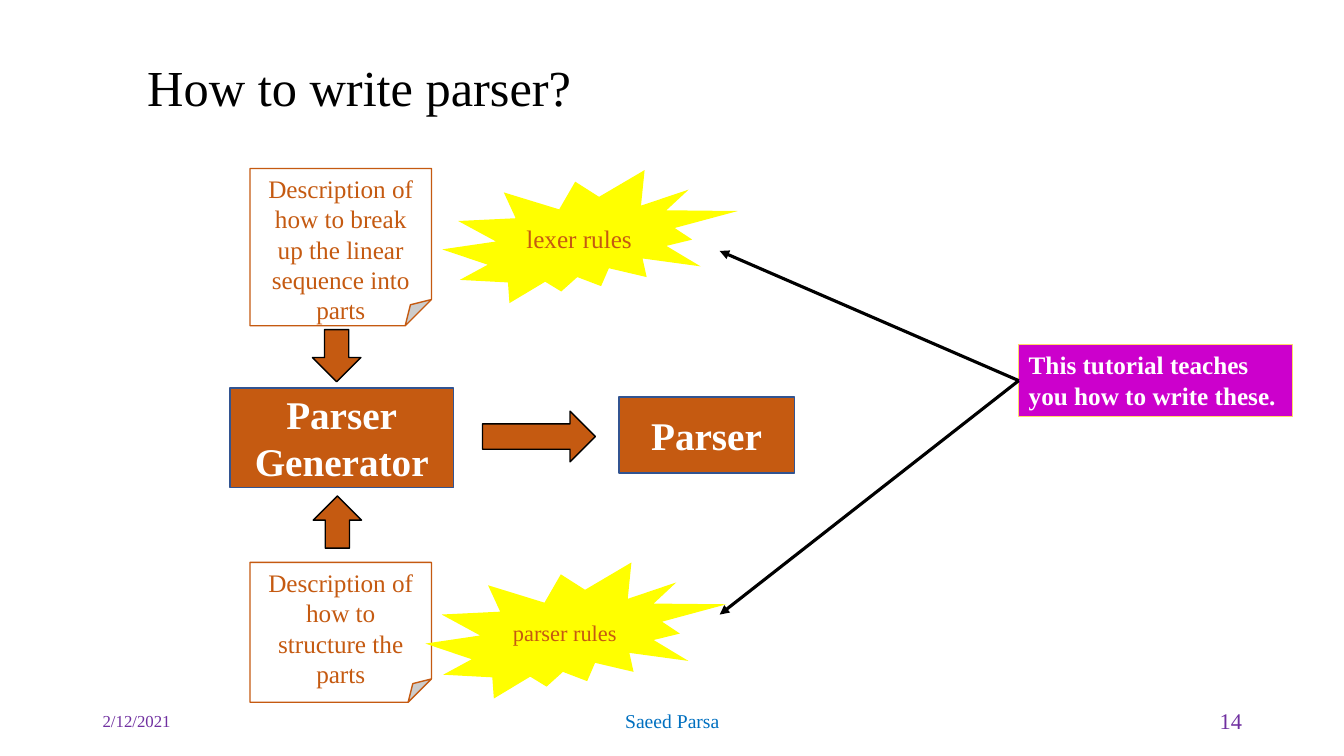
"""Build the slide that shows how a parser generator turns rules into a parser."""
from dataclasses import dataclass

from lxml import etree
from pptx import Presentation
from pptx.dml.color import RGBColor
from pptx.enum.shapes import MSO_CONNECTOR, MSO_SHAPE
from pptx.enum.text import MSO_ANCHOR, MSO_AUTO_SIZE, PP_ALIGN
from pptx.oxml.ns import qn
from pptx.util import Inches, Pt

LEFT, CENTER, RIGHT = PP_ALIGN.LEFT, PP_ALIGN.CENTER, PP_ALIGN.RIGHT
TOP, MIDDLE = MSO_ANCHOR.TOP, MSO_ANCHOR.MIDDLE
RECTANGLE, NOTE, BURST = MSO_SHAPE.RECTANGLE, MSO_SHAPE.FOLDED_CORNER, MSO_SHAPE.EXPLOSION2
RIGHT_ARROW, DOWN_ARROW = MSO_SHAPE.RIGHT_ARROW, MSO_SHAPE.DOWN_ARROW
STRAIGHT = MSO_CONNECTOR.STRAIGHT
LEFT_SIDE = 1
TITLE_ONLY = 5


@dataclass(frozen=True)
class Theme:
    font: str = "Times New Roman"
    black: str = "000000"
    white: str = "FFFFFF"
    rust: str = "C55A11"
    navy: str = "325491"
    yellow: str = "FFFF00"
    gold: str = "FFD966"
    magenta: str = "CC00CC"
    purple: str = "7030A0"
    blue: str = "0070C0"
    title: int = 36
    stage: int = 28
    body: int = 18
    small: int = 16
    footer: int = 14
    date: int = 12


theme = Theme()
deck = Presentation()
deck.slide_width, deck.slide_height = Inches(13.33), Inches(7.5)
column, row = deck.slide_width / 100, deck.slide_height / 100
slide = deck.slides.add_slide(deck.slide_layouts[TITLE_ONLY])


def write(box, lines, size, color, align=CENTER, anchor=MIDDLE, bold=False):
    frame = box.text_frame
    frame.word_wrap = True
    frame.auto_size = MSO_AUTO_SIZE.NONE
    frame.vertical_anchor = anchor
    for index, line in enumerate(lines):
        para = frame.add_paragraph() if index else frame.paragraphs[0]
        para.alignment = align
        span = para.add_run()
        span.text = line
        span.font.name = theme.font
        span.font.size = Pt(size)
        span.font.bold = bold
        span.font.color.rgb = RGBColor.from_string(color)


def add_block(kind, x, y, width, height, fill, line=None, weight=1):
    block = slide.shapes.add_shape(
        kind, int(x * column), int(y * row), int(width * column), int(height * row))
    block.shadow.inherit = False
    block.fill.solid()
    block.fill.fore_color.rgb = RGBColor.from_string(fill)
    if line:
        block.line.color.rgb = RGBColor.from_string(line)
        block.line.width = Pt(weight)
    else:
        block.line.fill.background()
    return block


title = slide.shapes.title
title.left, title.top = int(10.2 * column), int(7.7 * row)
title.width, title.height = int(51.4 * column), int(8.5 * row)
write(title, ["How to write parser?"], theme.title, theme.black, LEFT)
title.text_frame.paragraphs[0].line_spacing = 0.9

footers = [
    (6.9, 22.5, "2/12/2021", theme.date, theme.purple, LEFT),
    (33.15, 33.75, "Saeed Parsa", theme.footer, theme.blue, CENTER),
    (70.65, 22.5, "14", theme.small, theme.purple, RIGHT),
]
for x, width, text, size, color, align in footers:
    box = slide.shapes.add_textbox(
        int(x * column), int(92.7 * row), int(width * column), int(5.3 * row))
    write(box, [text], size, color, align)

notes = [
    (22.3, 20.8, "Description of how to break up the linear sequence into parts"),
    (74.4, 18.5, "Description of how to structure the parts"),
]
for y, height, text in notes:
    note = add_block(NOTE, 18.6, y, 13.5, height, theme.white, theme.rust)
    write(note, [text], theme.body, theme.rust, anchor=TOP)

stages = [
    (17.1, 51.3, 16.65, 13.2, ["Parser", "Generator"]),
    (46.05, 52.5, 13.05, 10.1, ["Parser"]),
]
for x, y, width, height, lines in stages:
    stage = add_block(RECTANGLE, x, y, width, height, theme.rust, theme.navy)
    write(stage, lines, theme.stage, theme.white, bold=True)

arrows = [
    (RIGHT_ARROW, 35.9, 54.4, 8.4, 6.7, 0),
    (DOWN_ARROW, 23.25, 43.6, 3.6, 6.9, 0),
    (DOWN_ARROW, 23.3, 65.6, 3.6, 6.9, 180),
]
for kind, x, y, width, height, turn in arrows:
    arrow = add_block(kind, x, y, width, height, theme.rust, theme.black)
    arrow.rotation = turn

bursts = [
    (32.9, 22.5, 22, 17.6, "lexer rules", theme.body),
    (31.65, 74.4, 22.4, 18, "parser rules", theme.small),
]
for x, y, width, height, text, size in bursts:
    burst = add_block(BURST, x, y, width, height, theme.yellow)
    write(burst, [text], size, theme.rust)

tutorial = add_block(RECTANGLE, 75.8, 45.6, 20.4, 9.5, theme.magenta, theme.gold, 0.75)
write(tutorial, ["This tutorial teaches you how to write these."],
      theme.body, theme.white, LEFT, TOP, bold=True)

for y in (33.2, 81.3):
    pointer = slide.shapes.add_connector(
        STRAIGHT, tutorial.left, tutorial.top, int(53.55 * column), int(y * row))
    pointer.begin_connect(tutorial, LEFT_SIDE)
    pointer.line.color.rgb = RGBColor.from_string(theme.black)
    pointer.line.width = Pt(2.25)
    etree.SubElement(pointer.line._get_or_add_ln(), qn("a:tailEnd"), type="triangle")
    etree.SubElement(pointer._element.spPr, qn("a:effectLst"))

deck.save("out.pptx")
